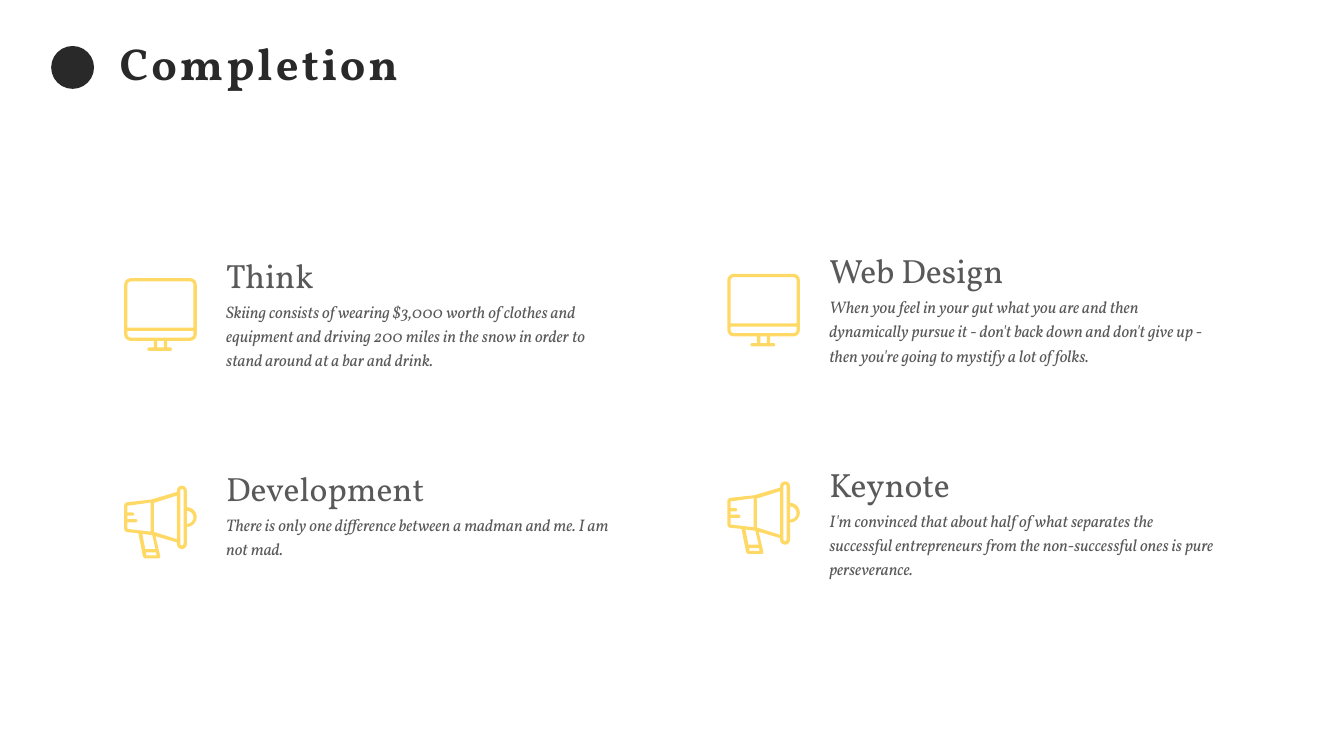
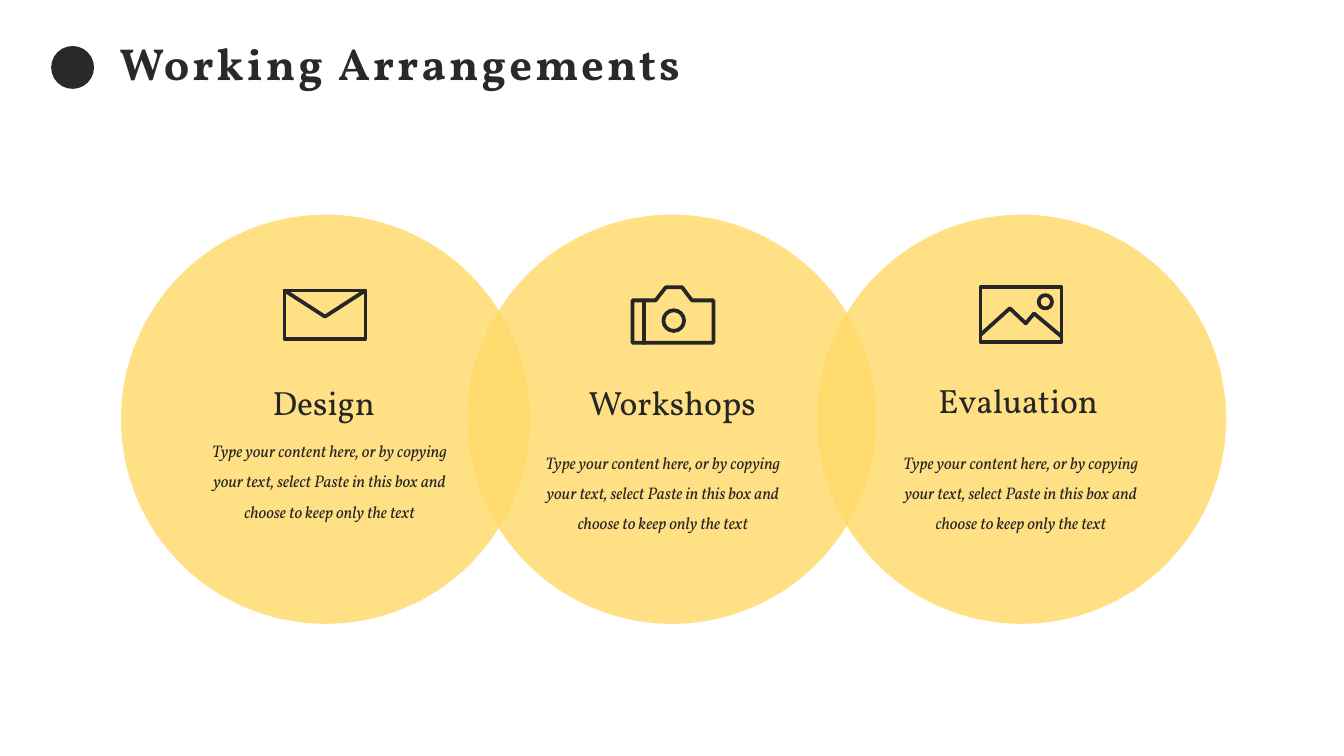
"""Build two slides: four services with icons, and three overlapping work steps."""
from dataclasses import dataclass
from math import dist

from lxml import etree
from pptx import Presentation
from pptx.dml.color import RGBColor
from pptx.enum import shapes, text
from pptx.oxml.ns import qn
from pptx.util import Cm, Pt


@dataclass(frozen=True)
class Theme:
    font: str = "Vollkorn"
    title_ink: RGBColor = RGBColor(0x29, 0x29, 0x29)
    dark: RGBColor = RGBColor(0x26, 0x26, 0x26)
    grey: RGBColor = RGBColor(0x59, 0x59, 0x59)
    yellow: RGBColor = RGBColor(0xFF, 0xD9, 0x66)
    title_size: int = 32
    heading_size: int = 24
    body_size: int = 12
    stroke: float = 2.7


theme = Theme()


def write(box, words, size, colour, align=text.PP_ALIGN.LEFT, spacing=None, bold=False, italic=False):
    frame = box.text_frame
    frame.word_wrap = True
    frame.auto_size = text.MSO_AUTO_SIZE.NONE
    frame.vertical_anchor = text.MSO_ANCHOR.TOP
    para = frame.paragraphs[0]
    para.alignment = align
    para.line_spacing = spacing
    span = para.add_run()
    span.text = words
    span.font.name = theme.font
    span.font.size = Pt(size)
    span.font.bold = bold
    span.font.italic = italic
    span.font.color.rgb = colour
    return span


def draw_outline(parts, contours, left, top, unit=1.0, closed=True):
    builder = None
    for contour in contours:
        points = []
        for index, (x, y, *rounding) in enumerate(contour):
            if not rounding:
                points.append((x, y))
                continue
            ends = []
            for near in (contour[index - 1], contour[(index + 1) % len(contour)]):
                share = rounding[0] / dist((x, y), near[:2])
                ends.append((x + (near[0] - x) * share, y + (near[1] - y) * share))
            (ax, ay), (bx, by) = ends
            for t in (0, 0.25, 0.5, 0.75, 1):
                start = (1 - t) ** 3 + 1.35 * t * (1 - t) ** 2
                end = t ** 3 + 1.35 * t ** 2 * (1 - t)
                corner = 1 - start - end
                points.append((start * ax + corner * x + end * bx, start * ay + corner * y + end * by))
        spots = [(Cm(left + x * unit), Cm(top + y * unit)) for x, y in points]
        if builder is None:
            builder = parts.build_freeform(*spots[0], scale=1.0)
        else:
            builder.move_to(*spots[0])
        builder.add_line_segments(spots[1:], close=closed)
    outline = builder.convert_to_shape()
    outline.shadow.inherit = False
    return outline


monitor = [
    [(0, 0, 2), (22, 0, 2), (22, 19, 2), (13, 19), (13, 21), (14.5, 21, 0.5), (14.5, 22, 0.5),
     (7, 22, 0.5), (7, 21, 0.5), (9, 21), (9, 19), (0, 19, 2)],
    [(1, 1, 1), (21, 1, 1), (21, 15), (1, 15)],
    [(1, 16), (21, 16), (21, 18, 1), (1, 18, 1)],
    [(10, 19), (12, 19), (12, 21), (10, 21)],
]
megaphone = [
    [(19, 6.5), (19, 0, 1.5), (16, 0, 1.5), (16, 1.9), (8.2, 4.2), (0, 5.1, 1), (0, 14, 1),
     (4.3, 14.4), (5.8, 22, 0.7), (11.1, 22, 0.7), (9.5, 15.3), (16, 17.2), (16, 19.2, 1.5),
     (19, 19.2, 1.5), (19, 12.5), (22, 12.5, 3), (22, 6.5, 3)],
    [(19, 7.6), (21, 7.6, 2), (21, 11.6, 2), (19, 11.6)],
    [(17, 1, 0.5), (18, 1, 0.5), (18, 18.1, 0.5), (17, 18.1, 0.5)],
    [(16, 16.2), (9, 14), (9, 5.2), (16, 3)],
    [(9.6, 20.2), (9.8, 21.1), (6.7, 21.1), (6.6, 20.2)],
    [(6.4, 19.2), (5.5, 14.6), (8.5, 15), (9.5, 19.2)],
    [(1, 13.1), (1, 11.1), (4, 11.1, 0.5), (4, 10.1, 0.5), (1, 10.1), (1, 9.1),
     (3, 9.1, 0.5), (3, 8.1, 0.5), (1, 8.1), (1, 6.1), (8, 5.1), (8, 13.9)],
]
envelope = {
    "closed": [[(0, 0), (2.04, 0), (2.04, 1.22), (0, 1.22)]],
    "open": [[(0, 0), (1.02, 0.66), (2.04, 0)]],
    "lines": [],
}
camera = {
    "closed": [
        [(1.5, 0.33), (1.25, 0), (0.84, 0), (0.58, 0.33), (0, 0.33), (0, 1.4), (2.04, 1.4), (2.04, 0.33)],
        [(0.78, 0.58, 0.26), (1.3, 0.58, 0.26), (1.3, 1.1, 0.26), (0.78, 1.1, 0.26)],
    ],
    "open": [],
    "lines": [(0.28, 0.33, 0.28, 1.4)],
}
landscape = {
    "closed": [
        [(0, 0), (2.04, 0), (2.04, 1.38), (0, 1.38)],
        [(1.47, 0.2, 0.16), (1.8, 0.2, 0.16), (1.8, 0.53, 0.16), (1.47, 0.53, 0.16)],
    ],
    "open": [[(0, 1.2), (0.74, 0.53), (1.14, 0.91), (1.35, 0.66), (2.04, 1.24)]],
    "lines": [],
}

deck = Presentation()
deck.slide_width = Cm(33.87)
deck.slide_height = Cm(19.05)

pages = []
for name in ("Completion", "Working Arrangements"):
    page = deck.slides.add_slide(deck.slide_layouts[5])
    dot = page.shapes.add_shape(shapes.MSO_SHAPE.OVAL, Cm(1.29), Cm(1.16), Cm(1.08), Cm(1.08))
    dot.shadow.inherit = False
    dot.fill.solid()
    dot.fill.fore_color.rgb = theme.title_ink
    dot.line.fill.background()
    title = page.shapes.title
    title.left, title.top, title.width, title.height = Cm(2.76), Cm(0.76), Cm(14.7), Cm(1.63)
    span = write(title, name, theme.title_size, theme.title_ink, bold=True)
    title.text_frame.word_wrap = False
    span.font._element.set("spc", "220")
    pages.append(page)
completion, arrangements = pages

services = [
    [("Think", "Skiing consists of wearing $3,000 worth of clothes and equipment and driving "
      "200 miles in the snow in order to stand around at a bar and drink.", 2.11),
     ("Web Design", "When you feel in your gut what you are and then dynamically pursue it - "
      "don't back down and don't give up - then you're going to mystify a lot of folks.", 2.11)],
    [("Development", "There is only one difference between a madman and me. I am not mad.", 1.5),
     ("Keynote", "I'm convinced that about half of what separates the successful entrepreneurs "
      "from the non-successful ones is pure perseverance.", 2.11)],
]
for row, (icon, pair) in enumerate(zip((monitor, megaphone), services)):
    for column, (heading, body, height) in enumerate(pair):
        shift = 15.2 * column
        rise = 0.11 * column
        top = 6.09 + 5.38 * row - rise
        symbol = draw_outline(completion.shapes, icon, 3.13 + shift, 7.01 + 5.23 * row - rise, 0.0832)
        symbol.fill.solid()
        symbol.fill.fore_color.rgb = theme.yellow
        symbol.line.fill.background()
        box = completion.shapes.add_textbox(Cm(5.45 + shift), Cm(top), Cm(10.22), Cm(1.5))
        write(box, heading, theme.heading_size, theme.grey, spacing=1.2)
        box = completion.shapes.add_textbox(Cm(5.45 + shift), Cm(top + 1.28), Cm(10.22), Cm(height))
        write(box, body, theme.body_size, theme.grey, spacing=1.2, italic=True)

for left in (3.05, 11.78, 20.59):
    circle = arrangements.shapes.add_shape(shapes.MSO_SHAPE.OVAL, Cm(left), Cm(5.41), Cm(10.31), Cm(10.31))
    circle.shadow.inherit = False
    circle.fill.solid()
    circle.fill.fore_color.rgb = theme.yellow
    circle.line.fill.background()
    tint = circle.element.spPr.find(qn("a:solidFill")).find(qn("a:srgbClr"))
    etree.SubElement(tint, qn("a:alpha")).set("val", "80000")

prompt = ("Type your content here, or by copying your text, select Paste in this box "
          "and choose to keep only the text")
steps = [
    ("Design", envelope, (7.17, 7.32), (4.73, 9.5), (4.88, 10.73)),
    ("Workshops", camera, (15.94, 7.24), (13.51, 9.5), (13.28, 11.02)),
    ("Evaluation", landscape, (24.71, 7.24), (22.23, 9.45), (22.3, 11.02)),
]
for heading, icon, (left, top), heading_spot, body_spot in steps:
    parts = arrangements.shapes.add_group_shape().shapes
    strokes = []
    for kind in ("closed", "open"):
        for contour in icon[kind]:
            stroke = draw_outline(parts, [contour], left, top, closed=kind == "closed")
            stroke.fill.background()
            strokes.append(stroke)
    for x1, y1, x2, y2 in icon["lines"]:
        strokes.append(parts.add_connector(shapes.MSO_CONNECTOR.STRAIGHT, Cm(left + x1), Cm(top + y1),
                                           Cm(left + x2), Cm(top + y2)))
    for stroke in strokes:
        stroke.line.color.rgb = theme.dark
        stroke.line.width = Pt(theme.stroke)
        edge = stroke.line._get_or_add_ln()
        edge.set("cap", "rnd")
        etree.SubElement(edge, qn("a:round"))
        if stroke.element.spPr.find(qn("a:effectLst")) is None:
            etree.SubElement(stroke.element.spPr, qn("a:effectLst"))
    box = arrangements.shapes.add_textbox(*map(Cm, heading_spot), Cm(6.86), Cm(1.27))
    write(box, heading, theme.heading_size, theme.dark, text.PP_ALIGN.CENTER)
    box = arrangements.shapes.add_textbox(*map(Cm, body_spot), Cm(6.86), Cm(3.33))
    write(box, prompt, theme.body_size, theme.dark, text.PP_ALIGN.CENTER, 1.5, italic=True)

deck.save("out.pptx")
